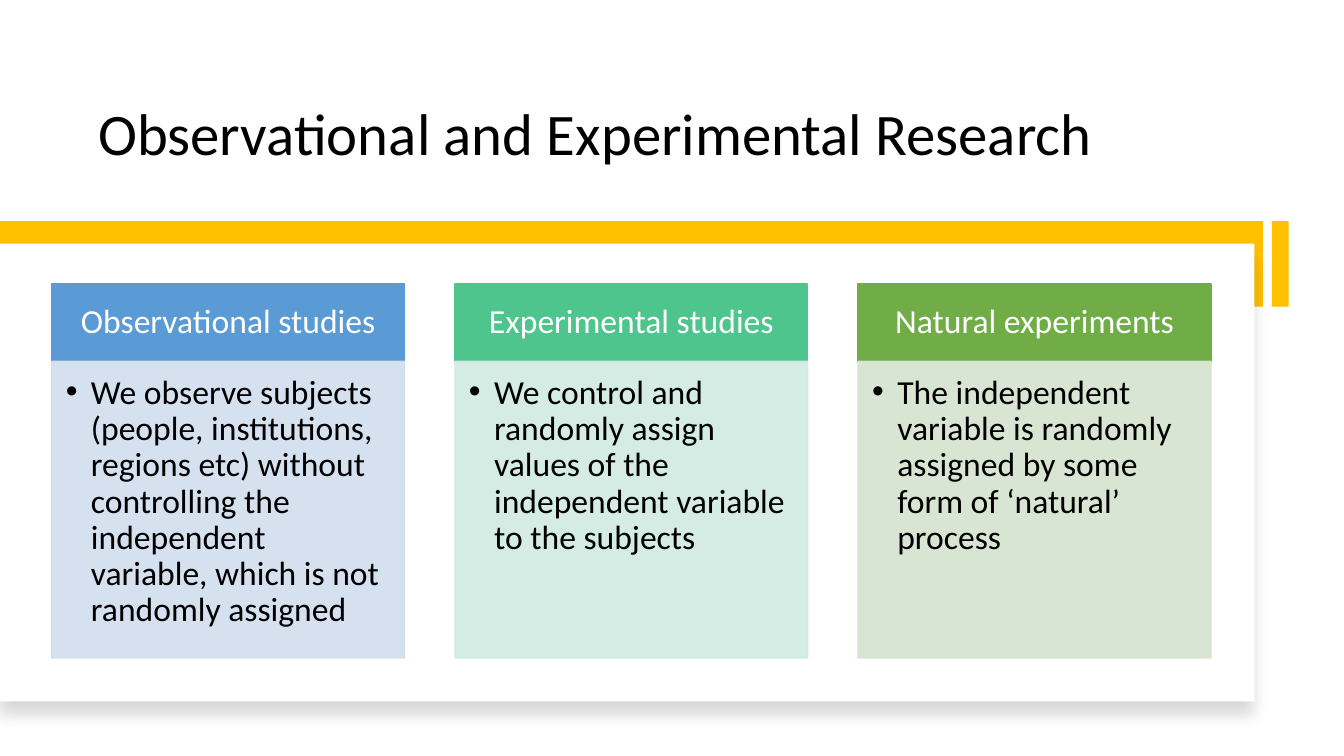
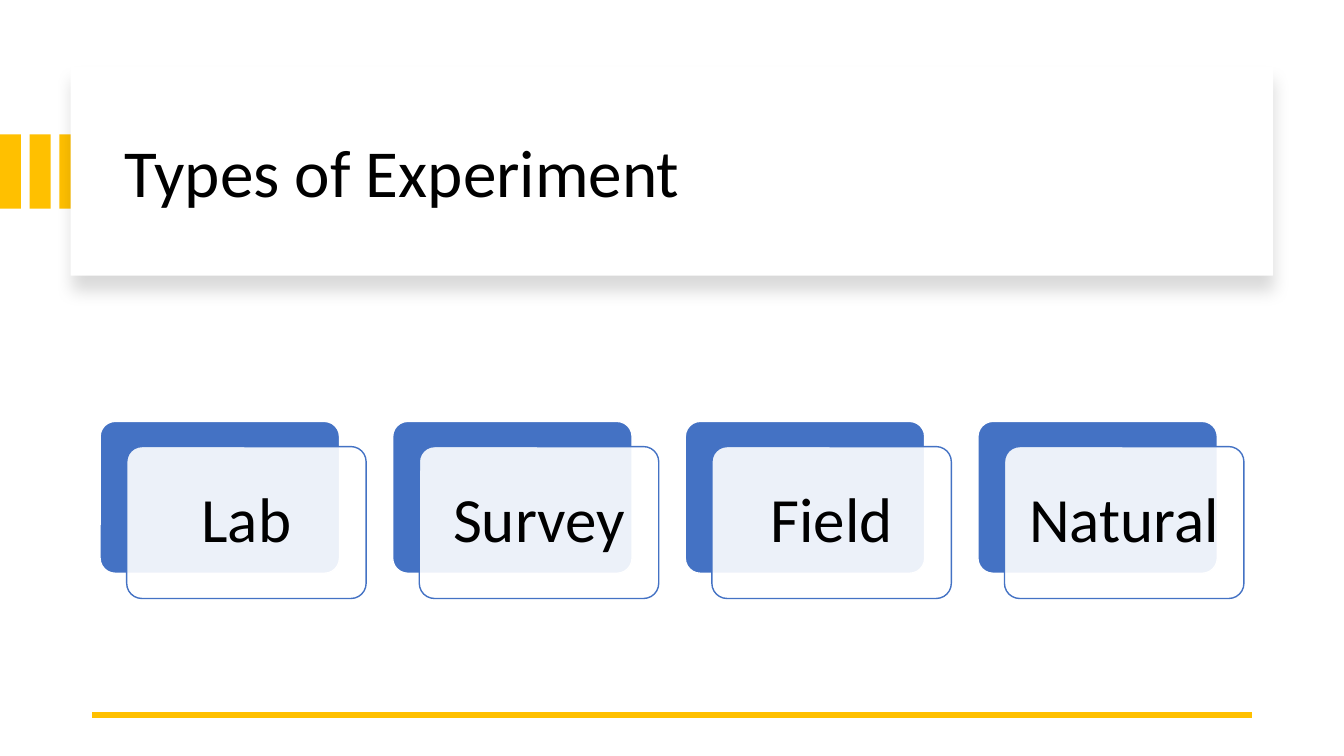
from lxml.etree import SubElement as Sub
from pptx import Presentation
from pptx.dml.color import RGBColor as Rgb
from pptx.enum.shapes import MSO_CONNECTOR as Conn, MSO_SHAPE as Kind
from pptx.enum.text import MSO_ANCHOR as Anchor, PP_ALIGN as Align
from pptx.oxml.ns import qn
from pptx.util import Pt

HUES = {
    "gold": "FFC000", "white": "FFFFFF", "black": "000000", "royal": "4472C4",
    "blue": "5B9BD5", "mint": "4DC58D", "green": "70AD47",
    "pale blue": "D2DEEF", "pale mint": "D0EAE1", "pale green": "D5E3CF",
}
FACE = "Calibri"
STUDIES = [
    ("blue", "Observational studies",
     "We observe subjects (people, institutions, regions etc) without controlling "
     "the independent variable, which is not randomly assigned"),
    ("mint", "Experimental studies",
     "We control and randomly assign values of the independent variable to the subjects"),
    ("green", "Natural experiments",
     "The independent variable is randomly assigned by some form of ‘natural’ process"),
]
TYPES = ["Lab", "Survey", "Field", "Natural"]


def hue(name):
    return Rgb.from_string(HUES[name])


def apply(item, values):
    for key, value in values.items():
        setattr(item, key, value)


def block(slide, box, fill, line=None, kind=Kind.RECTANGLE):
    shape = slide.shapes.add_shape(kind, *map(Pt, box))
    shape.shadow.inherit = False
    shape.fill.solid()
    shape.fill.fore_color.rgb = hue(fill)
    if line:
        shape.line.color.rgb = hue(line)
        shape.line.width = Pt(1)
    else:
        shape.line.fill.background()
    if kind == Kind.ROUNDED_RECTANGLE:
        shape.adjustments[0] = 0.1
    return shape


def fade(shape, route):
    for tint in shape.element.spPr.findall(f"{route}{qn('a:solidFill')}/{qn('a:srgbClr')}"):
        Sub(tint, qn("a:alpha"), val="90000")


def write(shape, text, size, color, align, anchor, pads, bullet=False):
    frame = shape.text_frame
    sides = ("margin_left", "margin_top", "margin_right", "margin_bottom")
    apply(frame, {"word_wrap": True, "vertical_anchor": anchor,
                  **dict(zip(sides, map(Pt, pads)))})
    para = frame.paragraphs[0]
    para.text = text
    apply(para, {"alignment": align, "line_spacing": 0.9})
    if bullet:
        props = para._p.get_or_add_pPr()
        apply_ind = {"marL": Pt(18), "indent": Pt(-18)}
        for key, value in apply_ind.items():
            props.set(key, str(int(value)))
        Sub(props, qn("a:buFont"), typeface="Arial")
        Sub(props, qn("a:buChar"), char="•")
    apply(para.font, {"name": FACE, "size": Pt(size)})
    para.font.color.rgb = hue(color)


def title(slide, box, text, size, anchor):
    label = slide.shapes.add_textbox(*map(Pt, box))
    write(label, text, size, "black", Align.LEFT, anchor, (7.2, 3.6, 7.2, 3.6))


def panel(slide, box):
    shape = block(slide, box, "white")
    glow = Sub(shape.element.spPr.find(qn("a:effectLst")), qn("a:outerShdw"),
               blurRad=str(Pt(11)), dist=str(Pt(10)), dir="5400000",
               algn="t", rotWithShape="0")
    tint = Sub(glow, qn("a:srgbClr"), val=HUES["black"])
    Sub(tint, qn("a:alpha"), val="15000")


def columns(slide, box, items, gap=36, head=55):
    left, top, width, height = box
    wide = (width - gap * (len(items) - 1)) / len(items)
    for num, (color, name, text) in enumerate(items):
        x = left + num * (wide + gap)
        cap = block(slide, (x, top, wide, head), color, color)
        write(cap, name, 24, "white", Align.CENTER, Anchor.MIDDLE, (13.5, 8, 13.5, 8))
        pale = f"pale {color}"
        body = block(slide, (x, top + head, wide, height - head), pale, pale)
        fade(body, ".//")
        write(body, text, 24, "black", Align.LEFT, Anchor.TOP, (10, 10, 13.5, 15), True)


def cards(slide, box, items, gap=19, shift=(19, 18)):
    left, top, width, height = box
    wide = (width - gap * (len(items) - 1)) / len(items)
    size = (wide - shift[0], height - shift[1])
    for num, text in enumerate(items):
        x = left + num * (wide + gap)
        block(slide, (x, top, *size), "royal", "white", Kind.ROUNDED_RECTANGLE)
        front = block(slide, (x + shift[0], top + shift[1], *size),
                      "white", "royal", Kind.ROUNDED_RECTANGLE)
        fade(front, "")
        write(front, text, 45, "black", Align.CENTER, Anchor.MIDDLE, (12,) * 4)


def rule(slide, start, end, y):
    line = slide.shapes.add_connector(Conn.STRAIGHT, *map(Pt, (start, y, end, y)))
    line.line.color.rgb = hue("gold")
    line.line.width = Pt(4.5)
    Sub(line.element.spPr, qn("a:effectLst"))


def research(slide, wide, high):
    title(slide, (63, 30, 727, 94), "Observational and Experimental Research", 42, Anchor.BOTTOM)
    for x, span in ((wide - 51.5, 12), (0, wide - 58)):
        block(slide, (x, 158, span, 61), "gold")
    panel(slide, (0, 174, wide - 64, high - 213))
    columns(slide, (37, 203, wide - 132, high - 273), STUDIES)


def kinds(slide, wide, high):
    for num in range(3):
        block(slide, (num * 21.2, 96, 15, 53), "gold")
    panel(slide, (50.5, 48, wide - 101, 149))
    title(slide, (82, 64, wide - 159, 122.5), "Types of Experiment", 48, Anchor.MIDDLE)
    rule(slide, wide - 66, 66, high - 29.5)
    cards(slide, (71.5, 301, wide - 143, 126.5), TYPES)


def main():
    deck = Presentation()
    wide, high = 960, 540
    apply(deck, {"slide_width": Pt(wide), "slide_height": Pt(high)})
    for build in (research, kinds):
        build(deck.slides.add_slide(deck.slide_layouts[6]), wide, high)
    deck.save("out.pptx")


if __name__ == "__main__":
    main()
